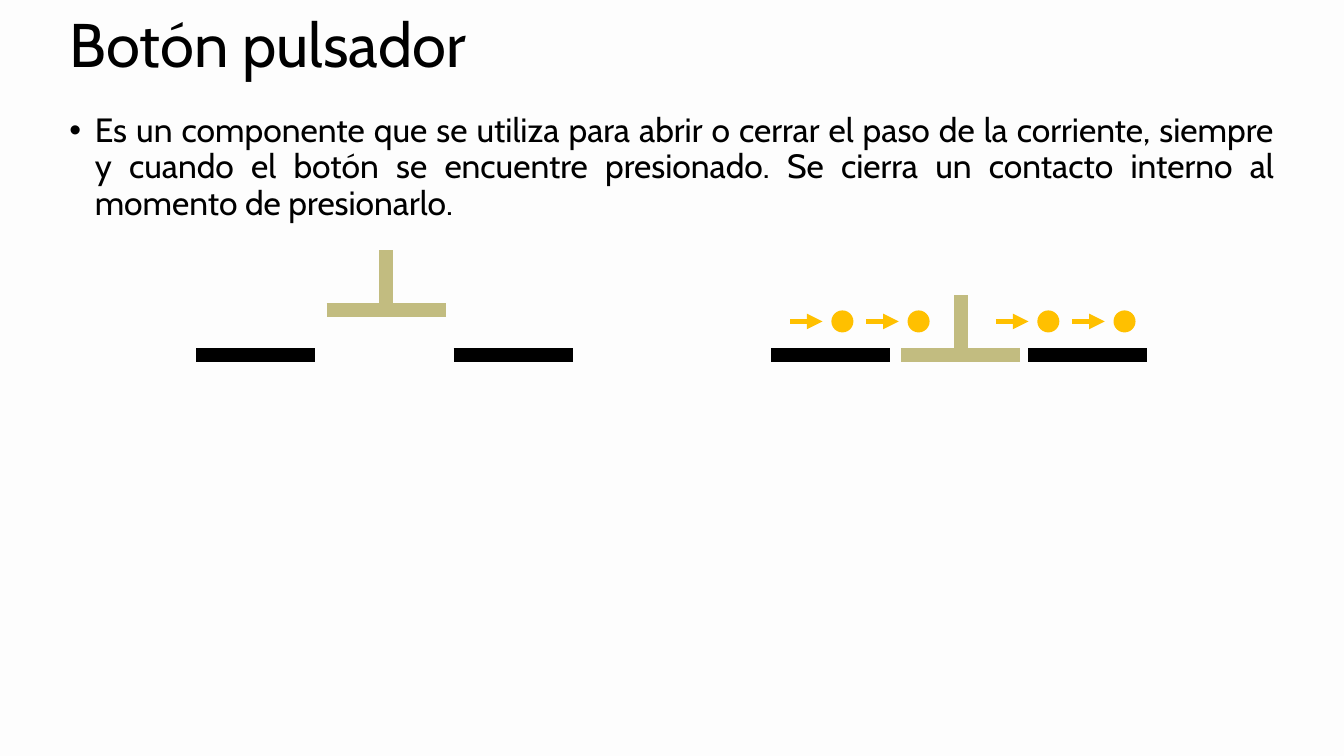
from lxml.etree import SubElement
from pptx import Presentation
from pptx.dml.color import RGBColor
from pptx.enum.shapes import MSO_CONNECTOR, MSO_SHAPE
from pptx.enum.text import MSO_ANCHOR, PP_ALIGN
from pptx.oxml.ns import qn
from pptx.util import Cm, Pt

COLORS = {"back": "FDFDFD", "text": "000000", "contact": "000000",
          "plunger": "C2BC80", "current": "FFC000"}
TITLE = "Botón pulsador"
BODY = ("Es un componente que se utiliza para abrir o cerrar el paso de la corriente, "
        "siempre y cuando el botón se encuentre presionado. Se cierra un contacto "
        "interno al momento de presionarlo.")
TEXTS = [
    {"text": TITLE, "box": (1.5, 0.13, 30.86, 2.13), "size": 44,
     "anchor": MSO_ANCHOR.MIDDLE, "align": PP_ALIGN.LEFT, "bullet": False},
    {"text": BODY, "box": (1.5, 2.74, 30.86, 14.81), "size": 24,
     "anchor": MSO_ANCHOR.TOP, "align": PP_ALIGN.JUSTIFY, "bullet": True},
]
SWITCHES = [
    {"left": 4.95, "plunger_y": 7.8, "flow": []},
    {"left": 19.43, "plunger_y": 8.94, "flow": [0.48, 5.67]},
]
CONTACT_Y, BAR, STEM = 8.94, 3.0, 1.5
CONTACT_DX, PLUNGER_DX = (0, 6.48), 3.28
FLOW_Y, FLOW_STEP, ARROW, DOT_DX, DOT = 8.1, 1.92, 0.82, 1.06, 0.52


def rgb(name):
    return RGBColor.from_string(COLORS[name])


def add_text(s, item):
    tb = s.shapes.add_textbox(*map(Cm, item["box"]))
    tf = tb.text_frame
    tf.word_wrap = True
    tf.vertical_anchor = item["anchor"]
    p = tf.paragraphs[0]
    p.alignment, p.line_spacing = item["align"], 0.9
    if item["bullet"]:
        pPr = p._p.get_or_add_pPr()
        pPr.set("marL", str(Cm(0.64)))
        pPr.set("indent", str(Cm(-0.64)))
        SubElement(pPr, qn("a:buFont"), typeface="Arial")
        SubElement(pPr, qn("a:buChar"), char="•")
    r = p.add_run()
    r.text = item["text"]
    for name, value in {"name": "Cabin", "size": Pt(item["size"])}.items():
        setattr(r.font, name, value)
    r.font.color.rgb = rgb("text")


def add_line(s, x1, y1, x2, y2, color, width=10, arrow=False):
    c = s.shapes.add_connector(MSO_CONNECTOR.STRAIGHT, *map(Cm, (x1, y1, x2, y2)))
    c.line.color.rgb = rgb(color)
    c.line.width = Pt(width)
    if arrow:
        SubElement(c.line._get_or_add_ln(), qn("a:tailEnd"), type="triangle")
    SubElement(c._element.spPr, qn("a:effectLst"))


def add_dot(s, x):
    sp = s.shapes.add_shape(MSO_SHAPE.OVAL, Cm(x), Cm(FLOW_Y - DOT / 2), Cm(DOT), Cm(DOT))
    sp.shadow.inherit = False
    sp.fill.solid()
    sp.fill.fore_color.rgb = rgb("current")
    sp.line.color.rgb = rgb("current")
    sp.line.width = Pt(1)


def add_switch(s, switch):
    left, y = switch["left"], switch["plunger_y"]
    for dx in CONTACT_DX:
        add_line(s, left + dx, CONTACT_Y, left + dx + BAR, CONTACT_Y, "contact")
    x = left + PLUNGER_DX
    add_line(s, x, y, x + BAR, y, "plunger")
    add_line(s, x + BAR / 2, y - STEM, x + BAR / 2, y, "plunger")
    for dx in switch["flow"]:
        for i in range(2):
            x = left + dx + i * FLOW_STEP
            add_line(s, x, FLOW_Y, x + ARROW, FLOW_Y, "current", 3.75, True)
            add_dot(s, x + DOT_DX)


def main():
    """Build the push-button slide."""
    prs = Presentation()
    prs.slide_width, prs.slide_height = Cm(33.87), Cm(19.05)
    s = prs.slides.add_slide(prs.slide_layouts[6])
    s.background.fill.solid()
    s.background.fill.fore_color.rgb = rgb("back")
    for item in TEXTS:
        add_text(s, item)
    for switch in SWITCHES:
        add_switch(s, switch)
    prs.save("out.pptx")


if __name__ == "__main__":
    main()
